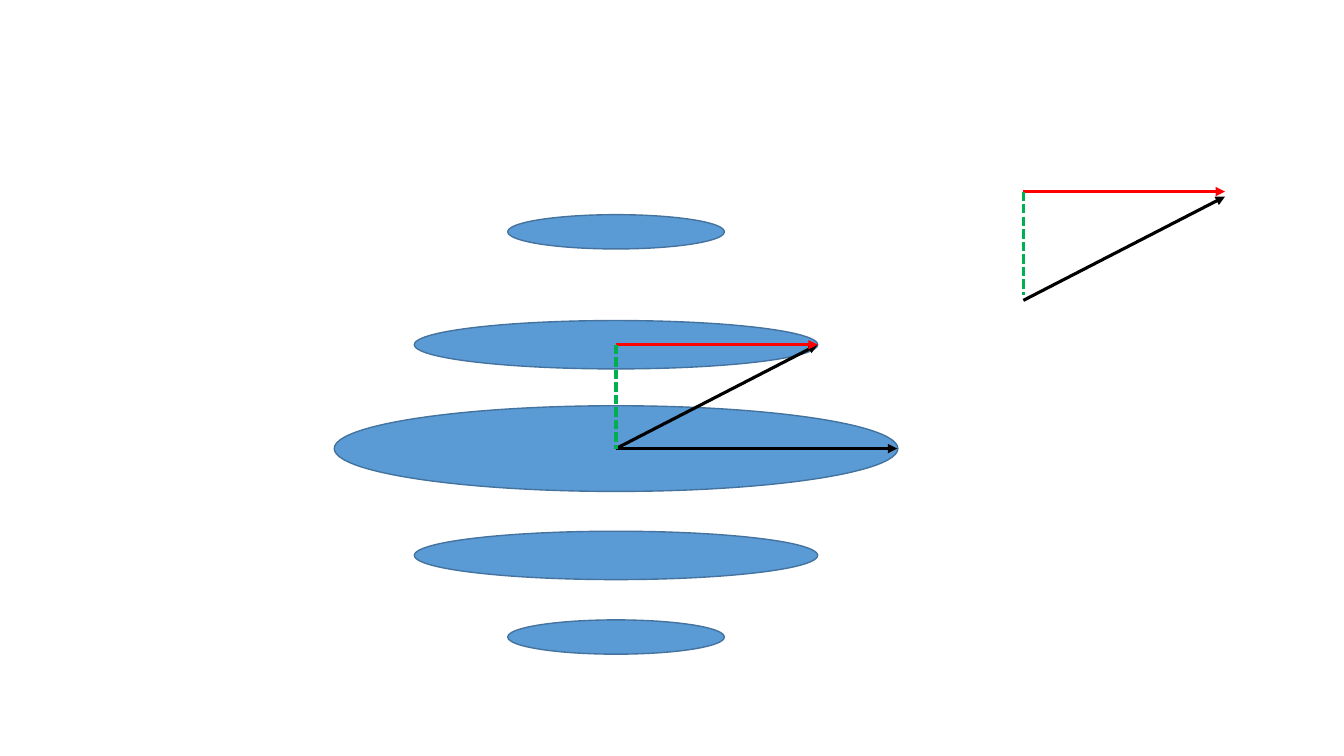
from lxml import etree
from pptx import Presentation
from pptx import util as u
from pptx.dml import color
from pptx.enum import shapes
from pptx.oxml import ns

HUES = {"disc": "5B9BD5", "rim": "43739E", "black": "000000",
        "red": "FF0000", "green": "00B050"}


class Pen:
    """Draws styled discs, arrows and dashes on the current slide."""

    def __init__(self, slide):
        self.slide = slide

    def stroke(self, line, hue, width):
        line.color.rgb = color.RGBColor.from_string(HUES[hue])
        line.width = u.Pt(width)

    def disc(self, mid, wide, high):
        x, y = mid
        box = (x - wide / 2, y - high / 2, wide, high)
        shape = self.slide.shapes.add_shape(
            shapes.MSO_SHAPE.OVAL, *map(u.Inches, box))
        shape.shadow.inherit = False
        shape.fill.solid()
        shape.fill.fore_color.rgb = color.RGBColor.from_string(HUES["disc"])
        self.stroke(shape.line, "rim", 1)

    def line(self, start, end, hue, tag, **kind):
        link = self.slide.shapes.add_connector(
            shapes.MSO_CONNECTOR.STRAIGHT, *map(u.Inches, start + end))
        self.stroke(link.line, hue, 2.25)
        etree.SubElement(link.line._get_or_add_ln(), ns.qn(tag), **kind)
        etree.SubElement(link._element.spPr, ns.qn("a:effectLst"))

    def arrow(self, start, end, hue):
        self.line(start, end, hue, "a:tailEnd", type="triangle")

    def dash(self, start, end, hue):
        self.line(start, end, hue, "a:prstDash", val="sysDash")


def main():
    deck = Presentation()
    deck.slide_width, deck.slide_height = u.Inches(13.33), u.Inches(7.5)
    pen = Pen(deck.slides.add_slide(deck.slide_layouts[6]))

    axis, mid, top = 6.11, 4.45, 3.42
    large, small = (4, 0.48), (2.15, 0.34)
    discs = [(mid, (5.59, 0.85)), (top, large), (2.3, small),
             (6.32, small), (5.51, large)]
    for y, size in discs:
        pen.disc((axis, y), *size)

    reach, rise = 2, mid - top
    pen.arrow((axis, mid), (8.9, mid), "black")
    for x, y, gap in [(axis, top, 0), (10.15, 1.9, 0.05)]:
        pen.arrow((x, y + gap + rise), (x + reach, y + gap), "black")
        pen.arrow((x, y), (x + reach, y), "red")
        pen.dash((x, y), (x, y + rise), "green")

    deck.save("out.pptx")


if __name__ == "__main__":
    main()
